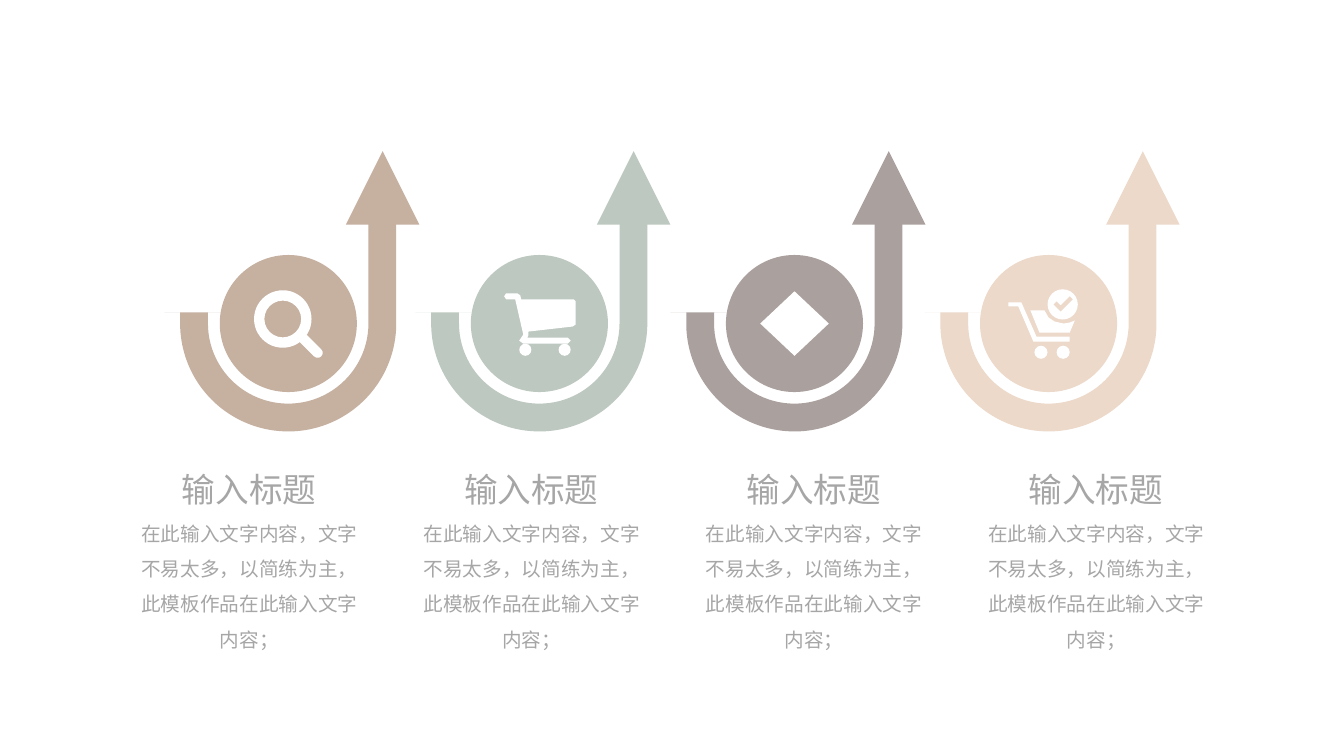
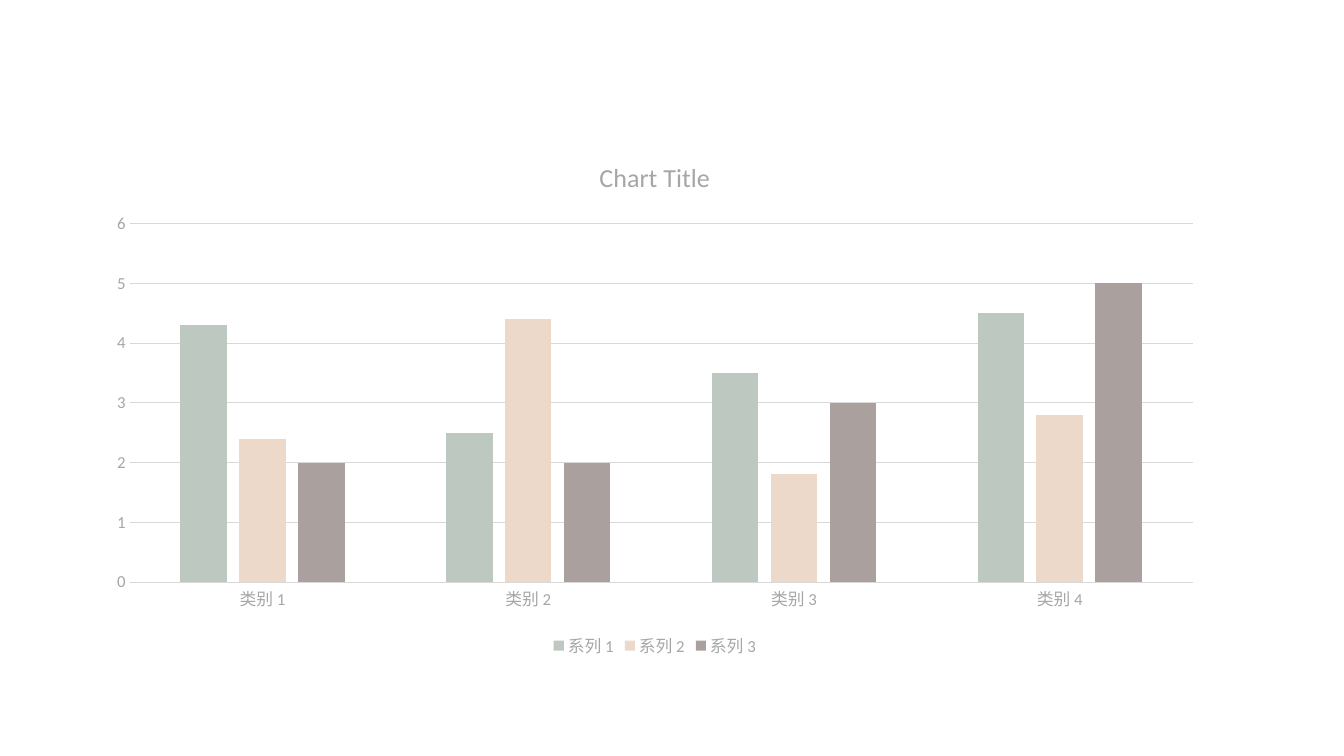
import lxml.etree
import pptx
import pptx.chart.data
import pptx.dml.color
import pptx.enum.chart
import pptx.enum.shapes
import pptx.enum.text
import pptx.oxml.ns
import pptx.util

Inches = pptx.util.Inches
Pt = pptx.util.Pt
RGBColor = pptx.dml.color.RGBColor
SHAPE = pptx.enum.shapes.MSO_SHAPE

TAN = RGBColor(0xC6, 0xB0, 0xA0)
SAGE = RGBColor(0xBD, 0xC8, 0xC0)
MAUVE = RGBColor(0xAA, 0xA0, 0x9E)
PEACH = RGBColor(0xEC, 0xD9, 0xCA)
WHITE = RGBColor(0xFF, 0xFF, 0xFF)
TEXT_GRAY = RGBColor(0xA6, 0xA6, 0xA6)
LINE_GRAY = RGBColor(0xD9, 0xD9, 0xD9)
CJK_FONT = "Noto Sans CJK SC"
CHART_FONT = "Calibri"

prs = pptx.Presentation()
prs.slide_width = Inches(13.33)
prs.slide_height = Inches(7.5)
blank_layout = prs.slide_layouts[6]

# Slide 1: four steps with arrows
steps_slide = prs.slides.add_slide(blank_layout)


def add_solid(kind, left, top, width, height, color):
    """Add a flat shape; kind is a preset or a list of outline points."""
    shapes = steps_slide.shapes
    if isinstance(kind, list):
        points = [(Inches(x), Inches(y)) for x, y in kind]
        builder = shapes.build_freeform(*points[0])
        builder.add_line_segments(points[1:], close=True)
        solid = builder.convert_to_shape(Inches(left), Inches(top))
    else:
        solid = shapes.add_shape(
            kind, Inches(left), Inches(top), Inches(width), Inches(height))
    solid.shadow.inherit = False
    solid.fill.solid()
    solid.fill.fore_color.rgb = color
    solid.line.fill.background()
    return solid


def add_caption(text, left, top, width, height, size, spacing, wrap):
    caption = steps_slide.shapes.add_textbox(
        Inches(left), Inches(top), Inches(width), Inches(height))
    caption.text_frame.word_wrap = wrap
    paragraph = caption.text_frame.paragraphs[0]
    paragraph.text = text
    paragraph.alignment = pptx.enum.text.PP_ALIGN.CENTER
    paragraph.line_spacing = spacing
    paragraph.font.size = Pt(size)
    paragraph.font.color.rgb = TEXT_GRAY
    paragraph.font.name = CJK_FONT
    # East Asian characters take their typeface from a:ea
    defaults = paragraph._p.pPr.find(pptx.oxml.ns.qn("a:defRPr"))
    lxml.etree.SubElement(defaults, pptx.oxml.ns.qn("a:ea"), typeface=CJK_FONT)


# Arrows, discs and captions
steps = [(2.18, TAN), (4.67, SAGE), (7.2, MAUVE), (9.72, PEACH)]
for index, (disc_left, color) in enumerate(steps):
    uturn = add_solid(SHAPE.U_TURN_ARROW, disc_left - 0.55, 2, 2.3, 2.28, color)
    uturn.rotation = 180
    for number, value in enumerate([0.121, 0.129, 0, 0.471, 0.518]):
        uturn.adjustments[number] = value
    add_solid(SHAPE.ISOSCELES_TRIANGLE, disc_left + 1.25, 1.5, 0.73, 0.73, color)
    add_solid(SHAPE.OVAL, disc_left, 2.53, 1.36, 1.36, color)

    caption_left = 1.21 + 2.8 * index
    add_caption("在此输入文字内容，文字不易太多，以简练为主，此模板作品在此输入文字内容；",
                caption_left, 5.01, 2.53, 1.47, 14, 1.5, True)
    add_caption("输入标题", caption_left + 0.47, 4.6, 1.58, 0.5, 24, 1.0, False)

# Magnifier
lens = add_solid(SHAPE.DONUT, 2.52, 2.88, 0.57, 0.57, WHITE)
lens.adjustments[0] = 0.18
handle = add_solid(SHAPE.ROUNDED_RECTANGLE, 2.93, 3.38, 0.3, 0.1, WHITE)
handle.adjustments[0] = 0.5
handle.rotation = 45

# Plain diamond on the third disc
add_solid(SHAPE.DIAMOND, 7.54, 2.89, 0.68, 0.64, WHITE)

# Carts: outlines in slide inches
full_cart = [
    (5.02, 2.91), (5.13, 2.91), (5.16, 2.93), (5.17, 2.97), (5.69, 2.97),
    (5.71, 2.99), (5.71, 3.22), (5.68, 3.24), (5.24, 3.29), (5.24, 3.33),
    (5.23, 3.35), (5.63, 3.35), (5.66, 3.38), (5.63, 3.41), (5.19, 3.41),
    (5.15, 3.38), (5.19, 3.32), (5.11, 2.97), (5.02, 2.97), (5, 2.94)]
cart_frame = [
    (10, 3), (10.13, 3), (10.28, 3.34), (10.61, 3.34), (10.61, 3.39),
    (10.25, 3.39), (10.1, 3.04), (10, 3.04)]
cart_basket = [
    (10.22, 3.08), (10.36, 3.08), (10.4, 3.15), (10.46, 3.19), (10.55, 3.21),
    (10.61, 3.2), (10.66, 3.18), (10.61, 3.3), (10.31, 3.3)]
check_mark = [
    (10.45, 3.02), (10.48, 2.99), (10.52, 3.03), (10.61, 2.94),
    (10.64, 2.97), (10.52, 3.09)]
for outline in (full_cart, cart_frame, cart_basket):
    add_solid(outline, 0, 0, 0, 0, WHITE)
for wheel_left, wheel_top, diameter in [
        (5.15, 3.41, 0.12), (5.54, 3.41, 0.12),
        (10.26, 3.43, 0.13), (10.48, 3.43, 0.13)]:
    add_solid(SHAPE.OVAL, wheel_left, wheel_top, diameter, diameter, WHITE)
add_solid(SHAPE.OVAL, 10.39, 2.87, 0.3, 0.3, WHITE)
add_solid(check_mark, 0, 0, 0, 0, PEACH)

# Slide 2: column chart
chart_slide = prs.slides.add_slide(blank_layout)
chart_data = pptx.chart.data.CategoryChartData()
chart_data.categories = [f"类别 {number}" for number in range(1, 5)]
chart_series = [
    ("系列 1", (4.3, 2.5, 3.5, 4.5), SAGE),
    ("系列 2", (2.4, 4.4, 1.8, 2.8), PEACH),
    ("系列 3", (2, 2, 3, 5), MAUVE),
]
for name, values, _ in chart_series:
    chart_data.add_series(name, values)
chart = chart_slide.shapes.add_chart(
    pptx.enum.chart.XL_CHART_TYPE.COLUMN_CLUSTERED,
    Inches(0.94), Inches(1.38), Inches(11.11), Inches(5.19), chart_data).chart
chart.font.size = Pt(10)
chart.font.name = CHART_FONT
chart.font.color.rgb = TEXT_GRAY

# Columns
columns = chart.plots[0]
columns.gap_width = 219
columns.overlap = -27
columns.vary_by_categories = False
for series, (_, _, color) in zip(columns.series, chart_series):
    series.format.fill.solid()
    series.format.fill.fore_color.rgb = color

# Title, legend and axes
chart.has_title = True
chart.chart_title.include_in_layout = False
chart_heading = chart.chart_title.text_frame.paragraphs[0]
chart_heading.text = "Chart Title"
chart_heading.font.size = Pt(18.6)
chart_heading.font.bold = False
chart_heading.font.name = CHART_FONT
chart_heading.font.color.rgb = TEXT_GRAY

chart.has_legend = True
chart.legend.position = pptx.enum.chart.XL_LEGEND_POSITION.BOTTOM
chart.legend.include_in_layout = False

value_axis = chart.value_axis
category_axis = chart.category_axis
for axis in (category_axis, value_axis):
    axis.major_tick_mark = pptx.enum.chart.XL_TICK_MARK.NONE
for labelled in (category_axis.tick_labels, value_axis.tick_labels, chart.legend):
    labelled.font.size = Pt(12)
    labelled.font.name = CHART_FONT
    labelled.font.color.rgb = TEXT_GRAY
value_axis.minimum_scale = 0
value_axis.maximum_scale = 6
value_axis.major_unit = 1
value_axis.format.line.fill.background()
for rule in (category_axis.format.line, value_axis.major_gridlines.format.line):
    rule.color.rgb = LINE_GRAY
    rule.width = Pt(0.75)

prs.save("out.pptx")
